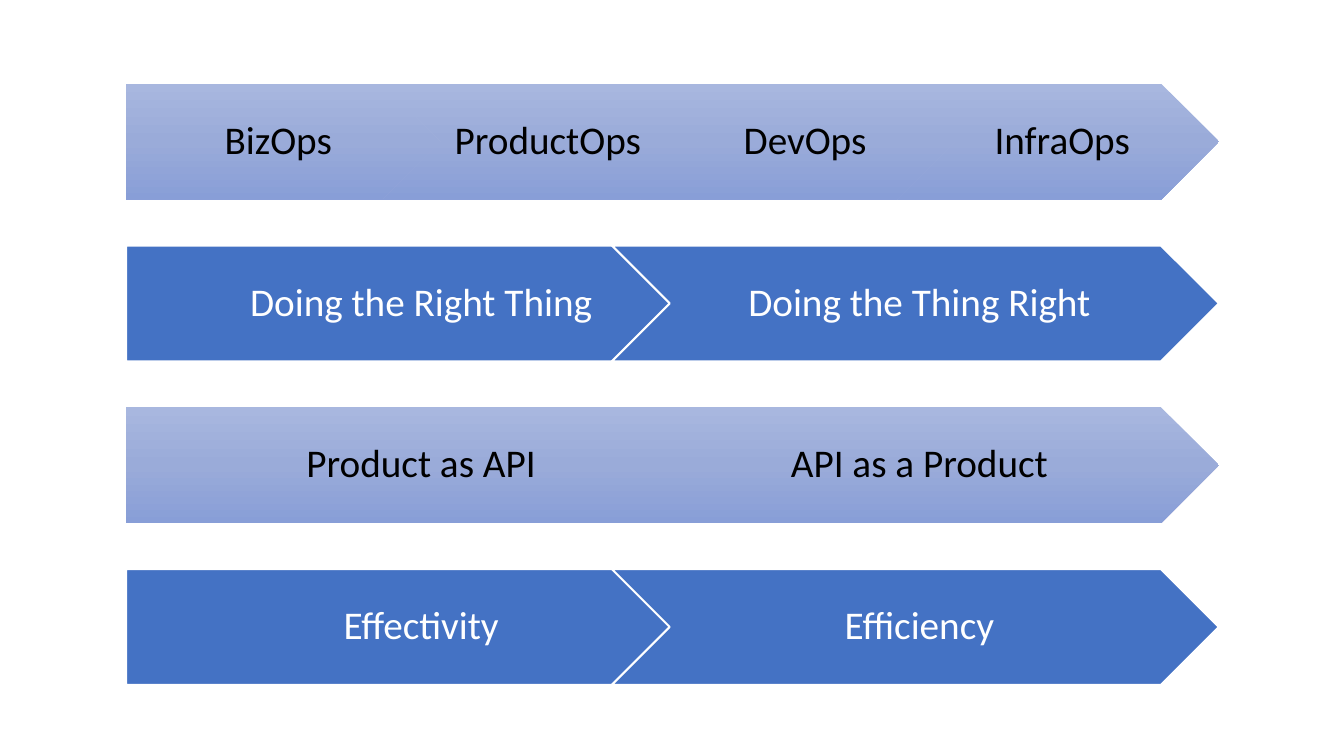
from copy import deepcopy

from pptx import Presentation
from pptx import util as u
from pptx.dml.color import RGBColor
from pptx.enum import shapes, text
from pptx.oxml.ns import qn

COLORS = {
    "gradient": ["A8B7DF", "9AABD9", "889ED7"],
    "solid": "4472C4",
    "dark": "000000",
    "light": "FFFFFF",
}

ROWS = [
    (["BizOps", "ProductOps", "DevOps", "InfraOps"], "gradient"),
    (["Doing the Right Thing", "Doing the Thing Right"], "solid"),
    (["Product as API", "API as a Product"], "gradient"),
    (["Effectivity", "Efficiency"], "solid"),
]

presentation = Presentation()
presentation.slide_width = u.Inches(13.33)
presentation.slide_height = u.Inches(7.5)
slide = presentation.slides.add_slide(presentation.slide_layouts[6])

LEFT, TOP = 1.25, 0.83
BAND_WIDTH, BAND_HEIGHT = 10.84, 1.15
ROW_PITCH = 1.605
STEP_SHARE = 0.8


def write_label(shape, label, color, left_inset):
    frame = shape.text_frame
    frame.word_wrap = True
    frame.vertical_anchor = text.MSO_ANCHOR.MIDDLE
    frame.margin_left = u.Inches(left_inset)
    frame.margin_right = u.Inches(0.04)
    frame.margin_top = frame.margin_bottom = u.Inches(0.08)
    paragraph = frame.paragraphs[0]
    paragraph.alignment = text.PP_ALIGN.CENTER
    paragraph.line_spacing = 0.9
    run = paragraph.add_run()
    run.text = label
    run.font.name = "Calibri"
    run.font.size = u.Pt(28)
    run.font.color.rgb = RGBColor.from_string(color)


for row, (labels, style) in enumerate(ROWS):
    width = BAND_WIDTH / (1 + STEP_SHARE * (len(labels) - 1))
    for column, label in enumerate(labels):
        first = column == 0
        shape = slide.shapes.add_shape(
            shapes.MSO_SHAPE.PENTAGON if first else shapes.MSO_SHAPE.CHEVRON,
            u.Inches(LEFT + column * STEP_SHARE * width),
            u.Inches(TOP + row * ROW_PITCH),
            u.Inches(width),
            u.Inches(BAND_HEIGHT),
        )
        shape.shadow.inherit = False
        if style == "gradient":
            shape.fill.gradient()
            shape.fill.gradient_angle = 270
            stop_list = next(shape._element.iter(qn("a:gsLst")))
            stop_list.insert(1, deepcopy(stop_list[0]))
            for index, stop in enumerate(shape.fill.gradient_stops):
                stop.position = index / 2
                stop.color.rgb = RGBColor.from_string(COLORS[style][index])
            shape.line.fill.background()
        else:
            shape.fill.solid()
            shape.fill.fore_color.rgb = RGBColor.from_string(COLORS[style])
            shape.line.color.rgb = RGBColor.from_string(COLORS["light"])
            shape.line.width = u.Pt(1.5)
        text_color = COLORS["dark" if style == "gradient" else "light"]
        write_label(shape, label, color=text_color, left_inset=0.16 if first else 0.12)

presentation.save("out.pptx")
